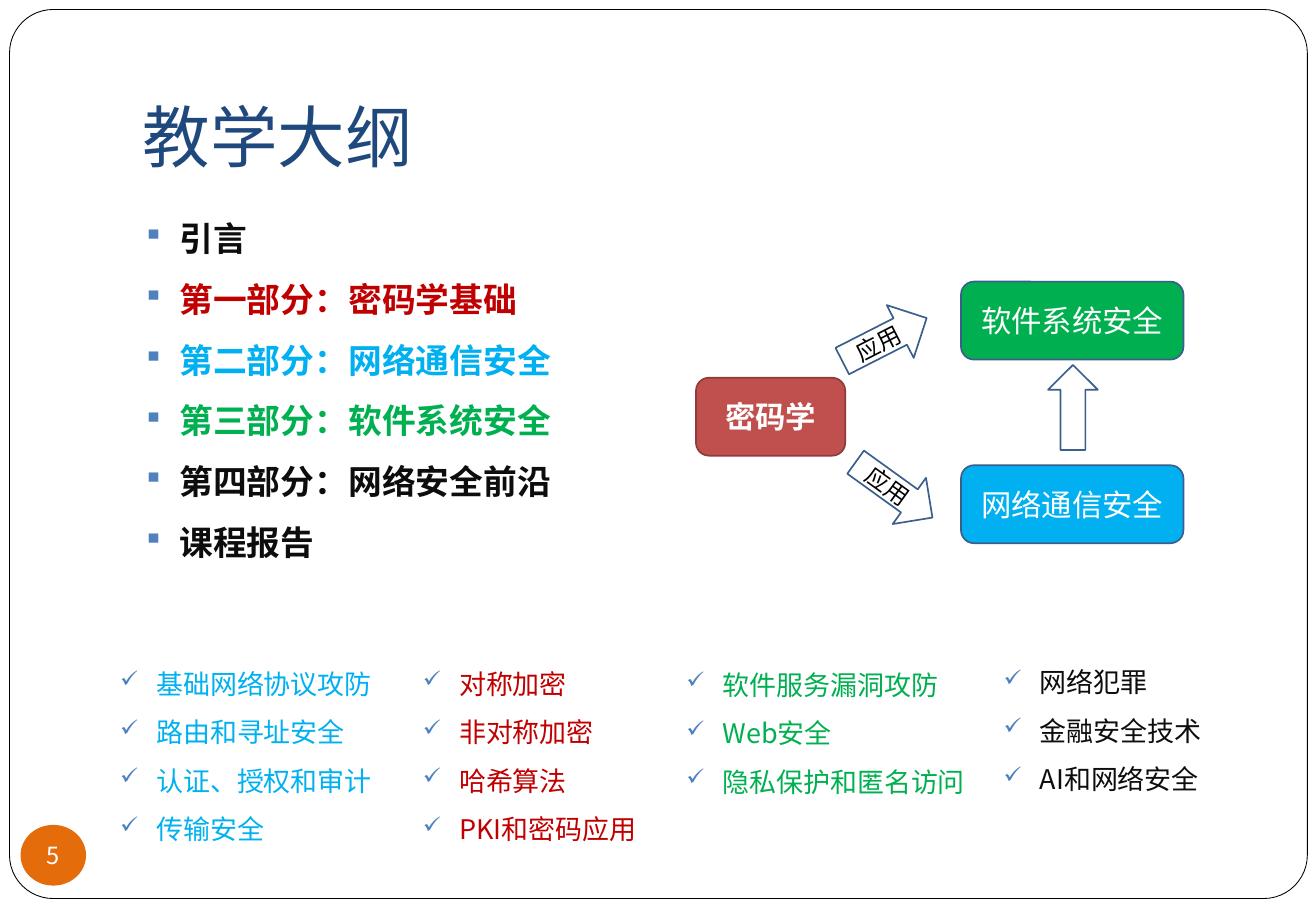
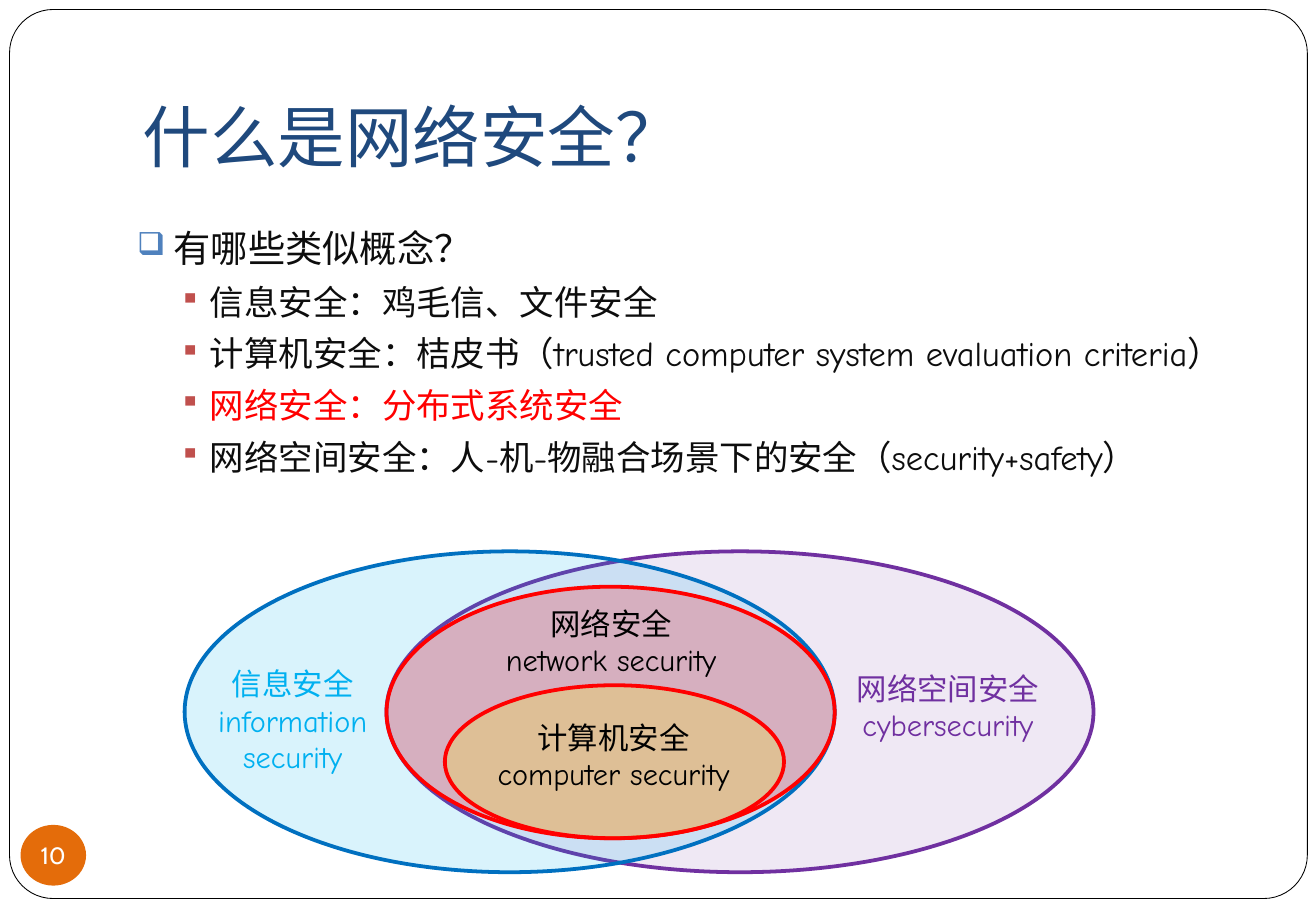
from lxml import etree
from pptx import Presentation
from pptx.dml.color import RGBColor
from pptx.enum.shapes import MSO_SHAPE
from pptx.enum.text import MSO_ANCHOR, PP_ALIGN
from pptx.oxml.ns import qn
from pptx.util import Cm, Pt

ROUND = MSO_SHAPE.ROUNDED_RECTANGLE
OVAL = MSO_SHAPE.OVAL
ARROW = MSO_SHAPE.RIGHT_ARROW
TOP, MIDDLE, BOTTOM = MSO_ANCHOR.TOP, MSO_ANCHOR.MIDDLE, MSO_ANCHOR.BOTTOM
LEFT, CENTER = PP_ALIGN.LEFT, PP_ALIGN.CENTER

CJK = "Noto Sans CJK SC"
COMIC = "Comic Neue"
CABIN = "Cabin"

COLORS = {
    "white": "FFFFFF",
    "black": "000000",
    "ink": "0D0D0D",
    "title": "1F497D",
    "badge": "E46C0A",
    "bullet": "4F81BD",
    "edge": "3A5F8C",
    "brick": "C0504D",
    "brick_edge": "8E3B39",
    "crimson": "C00000",
    "sky": "00B0F0",
    "blue": "0070C0",
    "green": "00B050",
    "red": "FF0000",
    "yellow": "FFFF00",
    "purple": "7030A0",
}


def rgb(name):
    return RGBColor.from_string(COLORS[name])


def add_bullet(p, char, color, left, hang):
    """Give a paragraph a coloured bullet with a hanging indent in cm."""
    pPr = p._p.get_or_add_pPr()
    pPr.set("marL", str(Cm(left)))
    pPr.set("indent", str(-Cm(hang)))
    clr = etree.SubElement(pPr, qn("a:buClr"))
    etree.SubElement(clr, qn("a:srgbClr"), val=COLORS[color])
    etree.SubElement(pPr, qn("a:buSzPct"), val="85000")
    etree.SubElement(pPr, qn("a:buChar"), char=char)


def write(tf, text, first=False, size=18, color="ink", font=CJK, bold=False,
          align=LEFT, spacing=None, before=None, bullet=None,
          bullet_color="bullet", left=0.76, hang=0.76):
    """Write one formatted paragraph into a text frame."""
    p = tf.paragraphs[0] if first else tf.add_paragraph()
    p.alignment = align
    if spacing:
        p.line_spacing = spacing
    if before:
        p.space_before = Pt(before)
    if bullet:
        add_bullet(p, bullet, bullet_color, left, hang)
    r = p.add_run()
    r.text = text
    r.font.size = Pt(size)
    r.font.bold = bold
    r.font.name = font
    r.font.color.rgb = rgb(color)
    latin = r._r.rPr.find(qn("a:latin"))
    latin.addnext(etree.Element(qn("a:ea"), typeface=CJK))


class Deck:
    def __init__(self):
        self.prs = Presentation()
        self.prs.slide_width = Cm(27.51)
        self.prs.slide_height = Cm(19.05)
        self.s = None

    def slide(self, title, number, number_font=CJK):
        """Start a slide with its frame, title and number badge."""
        self.s = self.prs.slides.add_slide(self.prs.slide_layouts[6])
        frame = self.shape(ROUND, (0.2, 0.2, 27.13, 18.59), "white", "black", 0.5)
        frame.adjustments[0] = 0.049
        tf = self.text((2.74, 0.76, 23.39, 3.18), [title], anchor=BOTTOM,
                       size=40, color="title")
        tf.margin_bottom = Cm(0.25)
        self.shape(OVAL, (0.43, 17.25, 1.37, 1.27), "badge", text=number,
                   inset=0, size=14, font=number_font)

    def text(self, box, lines, anchor=TOP, **style):
        """Add a text box; a line is a string or a (string, overrides) pair."""
        tf = self.s.shapes.add_textbox(*map(Cm, box)).text_frame
        tf.word_wrap = True
        tf.vertical_anchor = anchor
        for i, line in enumerate(lines):
            words, extra = (line, {}) if isinstance(line, str) else line
            write(tf, words, first=i == 0, **{**style, **extra})
        return tf

    def shape(self, kind, box, fill, line=None, width=1, alpha=None,
              rotation=0, text=None, inset=None, color="white", **style):
        sp = self.s.shapes.add_shape(kind, *map(Cm, box))
        sp.shadow.inherit = False
        sp.rotation = rotation
        sp.fill.solid()
        sp.fill.fore_color.rgb = rgb(fill)
        if alpha is not None:
            clr = sp._element.spPr.find(qn("a:solidFill"))[0]
            etree.SubElement(clr, qn("a:alpha"), val=str(alpha * 1000))
        if line:
            sp.line.color.rgb = rgb(line)
            sp.line.width = Pt(width)
        else:
            sp.line.fill.background()
        if text:
            tf = sp.text_frame
            tf.word_wrap = inset is None
            tf.vertical_anchor = MIDDLE
            if inset is not None:
                tf.margin_left = tf.margin_right = Cm(inset)
                tf.margin_top = tf.margin_bottom = Cm(inset)
            write(tf, text, first=True, color=color, align=CENTER, **style)
        return sp


def outline_slide(deck):
    deck.slide("教学大纲", "5")
    parts = [
        ("引言", "ink"),
        ("第一部分：密码学基础", "crimson"),
        ("第二部分：网络通信安全", "sky"),
        ("第三部分：软件系统安全", "green"),
        ("第四部分：网络安全前沿", "ink"),
        ("课程报告", "ink"),
    ]
    deck.text((2.74, 4.01, 10.67, 12.7),
              [(words, {"color": color}) for words, color in parts],
              size=20, bold=True, spacing=1.5, bullet="▪")

    for words, top, fill in [("软件系统安全", 5.89, "green"),
                             ("网络通信安全", 9.73, "sky")]:
        deck.shape(ROUND, (20.09, top, 4.65, 1.63), fill, "edge", text=words)
    deck.shape(ROUND, (14.55, 7.9, 3.12, 1.63), "brick", "brick_edge",
               text="密码学", bold=True)
    arrows = [
        ((21.54, 8, 1.78, 1.04), 270, None),
        ((17.5, 6.48, 1.98, 1.24), 333, "应用"),
        ((17.7, 9.65, 1.98, 1.19), 35.8, "应用"),
    ]
    for box, angle, words in arrows:
        deck.shape(ARROW, box, "white", "edge", rotation=angle, text=words,
                   inset=0, color="black", size=14)

    topics = [
        ((2.26, 13.49, 5.99, 4.17), "sky",
         ["基础网络协议攻防", "路由和寻址安全", "认证、授权和审计", "传输安全"]),
        ((8.59, 13.49, 5.13, 4.5), "crimson",
         ["对称加密", "非对称加密", "哈希算法", "PKI和密码应用"]),
        ((14.1, 13.51, 6.76, 3.23), "green",
         ["软件服务漏洞攻防", "Web安全", "隐私保护和匿名访问"]),
        ((20.73, 13.46, 6.3, 3.48), "ink",
         ["网络犯罪", "金融安全技术", "AI和网络安全"]),
    ]
    for box, color, lines in topics:
        deck.text(box, lines, size=16, color=color, spacing=1.5, bullet="✓")


def concepts_slide(deck):
    deck.slide("什么是网络安全？", "10", CABIN)
    question = {"size": 22.1, "before": 5.8, "bullet": "❑",
                "bullet_color": "bullet", "left": 0.76, "hang": 0.76}
    deck.text(
        (2.62, 4.5, 24.46, 6.48),
        [
            ("有哪些类似概念？", question),
            "信息安全：鸡毛信、文件安全",
            "计算机安全：桔皮书（trusted computer system evaluation criteria）",
            ("网络安全：分布式系统安全", {"color": "red"}),
            "网络空间安全：人-机-物融合场景下的安全（security+safety）",
        ],
        size=20.4, font=COMIC, spacing=1.1, before=3.7, bullet="▪",
        bullet_color="brick", left=1.52, hang=0.64)

    # ellipse, fill, opacity, outline, label box, label lines, label colour
    fields = [
        ((8.08, 11.53, 14.78, 6.71), "purple", 11, "purple",
         (17.48, 13.89, 4.67, 1.8), ["网络空间安全", "cybersecurity"], "purple"),
        ((3.86, 11.53, 13.59, 6.71), "sky", 15, "blue",
         (3.96, 13.79, 4.32, 2.16), ["信息安全", "information", "security"], "sky"),
        ((8.08, 12.27, 9.37, 5.26), "red", 21, "red",
         (9.65, 12.52, 6.25, 1.8), ["网络安全", "network security"], "black"),
        ((9.3, 14.33, 7.09, 3.2), "yellow", 21, "red",
         (9.75, 14.91, 6.15, 1.8), ["计算机安全", "computer security"], "black"),
    ]
    for oval, fill, alpha, line, box, label, color in fields:
        deck.shape(OVAL, oval, fill, line, 2.25, alpha)
        deck.text(box, label, color=color, font=COMIC, align=CENTER)


def main():
    deck = Deck()
    outline_slide(deck)
    concepts_slide(deck)
    deck.prs.save("out.pptx")


if __name__ == "__main__":
    main()
